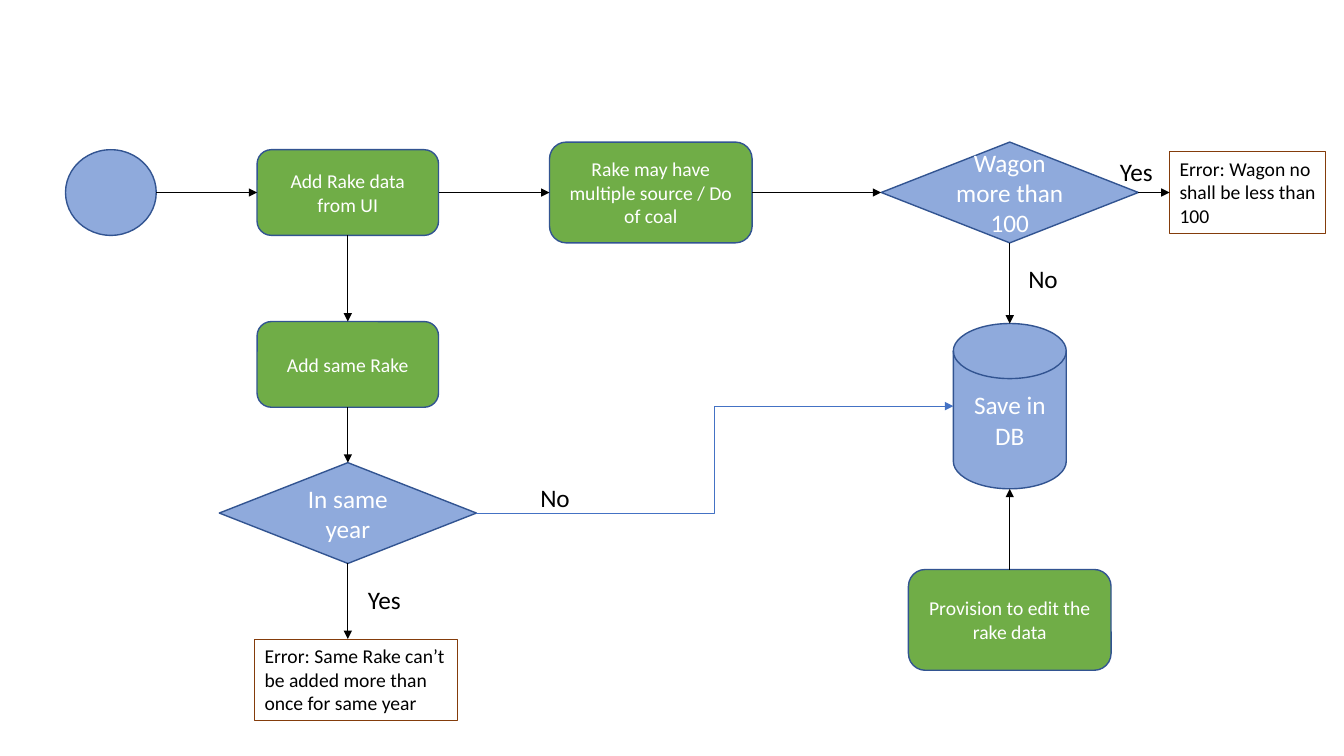
from lxml import etree
from pptx import Presentation
from pptx.dml.color import RGBColor
from pptx.enum.shapes import MSO_CONNECTOR, MSO_SHAPE
from pptx.enum.text import MSO_ANCHOR, PP_ALIGN
from pptx.oxml.ns import qn
from pptx.util import Inches, Pt

BLUE = RGBColor(0x8F, 0xAA, 0xDC)
GREEN = RGBColor(0x70, 0xAD, 0x47)
NAVY = RGBColor(0x32, 0x54, 0x91)
BROWN = RGBColor(0x84, 0x3C, 0x0B)
ELBOW_BLUE = RGBColor(0x44, 0x72, 0xC4)
BLACK = RGBColor(0, 0, 0)
WHITE = RGBColor(0xFF, 0xFF, 0xFF)

# Centres of the flow's columns and rows, in inches
COLUMNS = {"start": 1.1, "add": 3.45, "source": 6.455, "check": 10.015, "error": 12.375}
ROWS = {"entry": 1.91, "repeat": 3.615, "save": 4.03, "year": 5.09, "edit": 6.15, "error": 6.745}

# Kind: preset, width, height, fill, outline, outline width, text size
KINDS = {
    "start": (MSO_SHAPE.OVAL, 0.9, 0.85, BLUE, NAVY, 1, 18),
    "step": (MSO_SHAPE.ROUNDED_RECTANGLE, 1.8, 0.85, GREEN, NAVY, 1, 14),
    "wide step": (MSO_SHAPE.ROUNDED_RECTANGLE, 2.01, 1, GREEN, NAVY, 1, 14),
    "decision": (MSO_SHAPE.FLOWCHART_DECISION, 2.55, 1, BLUE, NAVY, 1, 18),
    "store": (MSO_SHAPE.FLOWCHART_MAGNETIC_DISK, 1.12, 1.64, BLUE, NAVY, 1, 18),
    "error": (MSO_SHAPE.RECTANGLE, 1.55, 0.81, None, BROWN, 0.75, 14),
    "wide error": (MSO_SHAPE.RECTANGLE, 2.01, 0.81, None, BROWN, 0.75, 14),
}

# Node: kind, column, row, text, shift of the centre to the right
NODES = {
    "start": ("start", "start", "entry", "", 0),
    "add": ("step", "add", "entry", "Add Rake data from UI", 0),
    "source": ("wide step", "source", "entry", "Rake may have multiple source / Do of coal", 0),
    "wagons": ("decision", "check", "entry", "Wagon more than 100", 0),
    "wagon error": ("error", "error", "entry", "Error: Wagon no shall be less than 100", 0),
    "repeat": ("step", "add", "repeat", "Add same Rake", 0),
    "year": ("decision", "add", "year", "In same year", 0),
    "year error": ("wide error", "add", "error",
                   "Error: Same Rake can’t be added more than once for same year", 0.08),
    "save": ("store", "check", "save", "Save in DB", 0),
    "edit": ("wide step", "check", "edit", "Provision to edit the rake data", 0),
}

# From node and side, to node and side
ARROWS = [
    ("start", "right", "add", "left"),
    ("add", "right", "source", "left"),
    ("source", "right", "wagons", "left"),
    ("wagons", "right", "wagon error", "left"),
    ("wagons", "bottom", "save", "top"),
    ("edit", "top", "save", "bottom"),
    ("add", "bottom", "repeat", "top"),
    ("repeat", "bottom", "year", "top"),
    ("year", "bottom", "year error", "top"),
]
ELBOW = ("year", "right", "save", "left")

BRANCH_LABELS = [("Yes", 11.01, 1.5), ("No", 10.1, 2.56), ("No", 5.26, 4.74), ("Yes", 3.55, 5.75)]
LABEL_SIZE = (0.55, 0.4)

SIDES = {"left": (-0.5, 0), "right": (0.5, 0), "top": (0, -0.5), "bottom": (0, 0.5)}


def write(frame, text, *, size, color, align=PP_ALIGN.LEFT, anchor=MSO_ANCHOR.TOP):
    frame.word_wrap = True
    frame.vertical_anchor = anchor
    paragraph = frame.paragraphs[0]
    paragraph.alignment = align
    run = paragraph.add_run()
    run.text = text
    run.font.name = "Calibri"
    run.font.size = Pt(size)
    run.font.color.rgb = color


def centre(node):
    _, column, row, _, shift = NODES[node]
    return COLUMNS[column] + shift, ROWS[row]


def side_point(node, side):
    x, y = centre(node)
    _, width, height, *_ = KINDS[NODES[node][0]]
    across, down = SIDES[side]
    return x + across * width, y + down * height


def add_node(slide, node):
    kind, _, _, text, _ = NODES[node]
    preset, width, height, fill, outline, outline_width, size = KINDS[kind]
    x, y = centre(node)
    shape = slide.shapes.add_shape(preset, Inches(x - width / 2), Inches(y - height / 2),
                                   Inches(width), Inches(height))
    shape.shadow.inherit = False
    shape.line.color.rgb = outline
    shape.line.width = Pt(outline_width)
    if fill is None:
        shape.fill.background()
    else:
        shape.fill.solid()
        shape.fill.fore_color.rgb = fill
    if text and fill is None:
        write(shape.text_frame, text, size=size, color=BLACK)
    elif text:
        write(shape.text_frame, text, size=size, color=WHITE,
              align=PP_ALIGN.CENTER, anchor=MSO_ANCHOR.MIDDLE)


def add_arrow(slide, begin, end, color=BLACK, route=MSO_CONNECTOR.STRAIGHT):
    arrow = slide.shapes.add_connector(route, *(Inches(v) for v in (*begin, *end)))
    arrow.line.color.rgb = color
    arrow.line.width = Pt(0.5)
    etree.SubElement(arrow.line._get_or_add_ln(), qn("a:tailEnd"), type="triangle")
    etree.SubElement(arrow._element.spPr, qn("a:effectLst"))


def main():
    presentation = Presentation()
    presentation.slide_width, presentation.slide_height = Inches(13.33), Inches(7.5)
    slide = presentation.slides.add_slide(presentation.slide_layouts[6])

    for node in NODES:
        add_node(slide, node)

    for source, source_side, target, target_side in ARROWS:
        begin = side_point(source, source_side)
        end = side_point(target, target_side)
        # A straight arrow stays on the axis it starts from
        end = (end[0], begin[1]) if source_side == "right" else (begin[0], end[1])
        add_arrow(slide, begin, end)
    add_arrow(slide, side_point(*ELBOW[:2]), side_point(*ELBOW[2:]),
              color=ELBOW_BLUE, route=MSO_CONNECTOR.ELBOW)

    for text, left, top in BRANCH_LABELS:
        label = slide.shapes.add_textbox(*(Inches(v) for v in (left, top, *LABEL_SIZE)))
        write(label.text_frame, text, size=18, color=BLACK)

    presentation.save("out.pptx")


if __name__ == "__main__":
    main()
